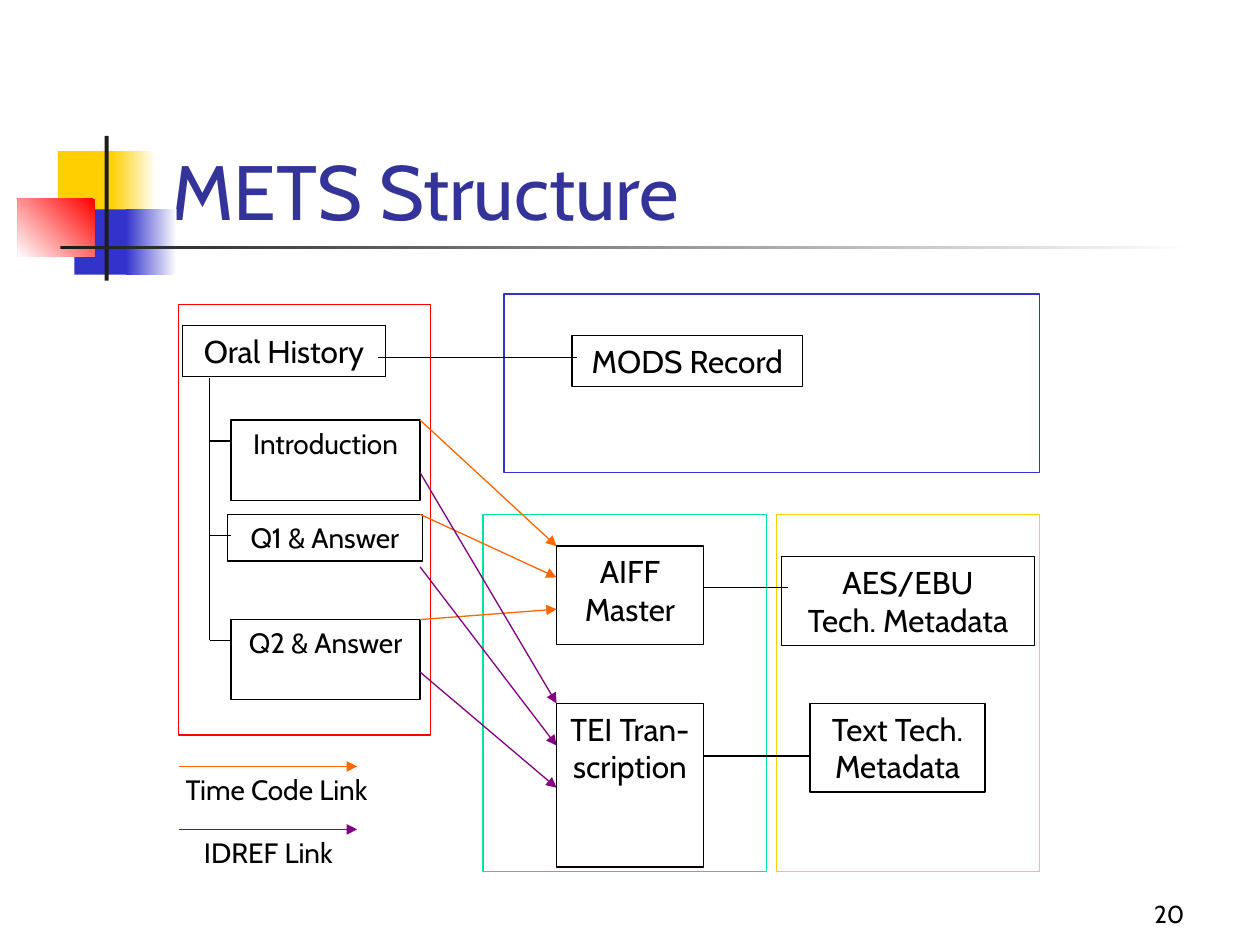
from lxml.etree import SubElement
from pptx import Presentation
from pptx.dml.color import RGBColor
from pptx.enum.shapes import MSO_CONNECTOR as Connector, MSO_SHAPE as Preset
from pptx.enum.text import MSO_ANCHOR as Anchor, MSO_AUTO_SIZE as AutoSize, PP_ALIGN as Align
from pptx.oxml.ns import qn
from pptx.util import Cm, Pt

COLORS = {
    "title": "333399", "ink": "000000", "dark": "1C1C1C", "white": "FFFFFF",
    "red": "FF0000", "blue": "3333CC", "green": "00E4A8", "yellow": "FFCF01",
    "time code": "FF6600", "idref": "800080",
}


def rgb(name):
    return RGBColor.from_string(COLORS[name])


class StructureSlide:
    font_name = "Cabin"
    line_width = Pt(0.75)

    def __init__(self, presentation):
        self.slide = presentation.slides.add_slide(presentation.slide_layouts[5])
        self.shapes = self.slide.shapes

    def set_text(self, frame, lines, size, color="ink", align=Align.CENTER,
                 anchor=Anchor.TOP, wrap=True):
        frame.auto_size = AutoSize.NONE
        frame.word_wrap = wrap
        frame.vertical_anchor = anchor
        frame.text = "\n".join(lines)
        for paragraph in frame.paragraphs:
            paragraph.alignment = align
            paragraph.font.name = self.font_name
            paragraph.font.size = Pt(size)
            paragraph.font.color.rgb = rgb(color)

    def title(self, text, place):
        title = self.shapes.title
        title.left, title.top, title.width, title.height = map(Cm, place)
        self.set_text(title.text_frame, [text], 44, "title", Align.LEFT, Anchor.BOTTOM)

    def rectangle(self, place):
        shape = self.shapes.add_shape(Preset.RECTANGLE, *map(Cm, place))
        shape.shadow.inherit = False
        return shape

    def block(self, color, place):
        shape = self.rectangle(place)
        shape.line.fill.background()
        shape.fill.solid()
        shape.fill.fore_color.rgb = rgb(color)

    def fade(self, color, place, angle=0):
        """Rectangle running from a colour to white; angle is counter-clockwise."""
        shape = self.rectangle(place)
        shape.line.fill.background()
        shape.fill.gradient()
        shape.fill.gradient_angle = angle
        for stop, name in zip(shape.fill.gradient_stops, (color, "white")):
            stop.color.rgb = rgb(name)

    def frame(self, color, place):
        shape = self.rectangle(place)
        shape.fill.background()
        shape.line.color.rgb = rgb(color)
        shape.line.width = self.line_width
        return shape

    def box(self, lines, size, place, wrap=False):
        self.set_text(self.frame("ink", place).text_frame, lines, size, wrap=wrap)

    def label(self, text, size, place, **style):
        text_box = self.shapes.add_textbox(*map(Cm, place))
        self.set_text(text_box.text_frame, [text], size, **style)

    def line(self, start, end, color="ink", arrow=False):
        connector = self.shapes.add_connector(
            Connector.STRAIGHT, *map(Cm, (*start, *end)))
        connector.line.color.rgb = rgb(color)
        connector.line.width = self.line_width
        properties = connector.element.spPr
        if arrow:
            SubElement(properties.find(qn("a:ln")), qn("a:tailEnd"), type="triangle")
        SubElement(properties, qn("a:effectLst"))


def main():
    presentation = Presentation()
    presentation.slide_width, presentation.slide_height = Cm(25.4), Cm(19.05)
    slide = StructureSlide(presentation)

    # Ornament beside and under the title
    slide.block("yellow", (1.17, 3.05, 1.22, 1.32))
    slide.fade("yellow", (2.24, 3.05, 0.91, 1.32))
    slide.block("blue", (1.5, 4.22, 1.17, 1.32))
    slide.fade("blue", (2.54, 4.22, 1.02, 1.32))
    slide.fade("red", (0.36, 4.01, 1.55, 1.17), angle=225)
    slide.block("dark", (2.11, 2.74, 0.08, 2.92))
    slide.fade("dark", (1.22, 4.95, 22.86, 0.08))
    slide.title("METS Structure", (3.2, 1.7, 21.64, 3.18))

    # Section frames
    slide.frame("red", (3.6, 6.14, 5.08, 8.68))
    slide.frame("blue", (10.16, 5.93, 10.8, 3.6))
    slide.frame("green", (9.74, 10.37, 5.72, 7.2))
    slide.frame("yellow", (15.66, 10.37, 5.29, 7.2))

    # Structure tree
    slide.box(["Oral History"], 18, (3.68, 6.56, 4.09, 1.03))
    slide.box(["Introduction"], 16, (4.66, 8.47, 3.81, 1.62))
    slide.box(["Q1 & Answer"], 16, (4.58, 10.37, 3.94, 0.94))
    slide.box(["Q2 & Answer"], 16, (4.66, 12.49, 3.81, 1.62))
    trunk, branches = 4.23, (8.89, 10.8, 12.91)
    slide.line((trunk, branches[-1]), (trunk, 7.62))
    for y in branches:
        slide.line((trunk, y), (4.66, y))

    # Files and their metadata
    slide.box(["AIFF Master"], 18, (11.22, 11.01, 2.96, 1.98), wrap=True)
    slide.box(["TEI Tran-scription"], 18, (11.22, 14.18, 2.96, 3.3), wrap=True)
    slide.box(["AES/EBU", "Tech. Metadata"], 18, (15.75, 11.22, 5.11, 1.79))
    slide.box(["Text Tech.", "Metadata"], 18, (16.33, 14.18, 3.53, 1.79))
    slide.box(["MODS Record"], 18, (11.53, 6.77, 4.65, 1.03))
    for left, right, y in ((14.18, 15.88, 11.85), (14.18, 16.3, 15.24),
                           (7.62, 11.64, 7.2)):
        slide.line((left, y), (right, y))

    # Links from the tree to the files: start and end heights
    links = {
        "time code": ((8.47, 11.01), (10.37, 11.64), (12.49, 12.28)),
        "idref": ((9.53, 14.18), (11.43, 15.03), (13.55, 15.88)),
    }
    for color, heights in links.items():
        for start, end in heights:
            slide.line((8.47, start), (11.22, end), color, arrow=True)

    # Legend
    for text, color, left, y, width in (
            ("Time Code Link", "time code", 3.3, 15.45, 4.55),
            ("IDREF Link", "idref", 3.76, 16.72, 3.3)):
        slide.line((3.6, y), (7.2, y), color, arrow=True)
        slide.label(text, 16, (left, y, width, 0.94), wrap=False)

    slide.label("20", 14, (18.84, 17.57, 5.29, 1.27),
                align=Align.RIGHT, anchor=Anchor.BOTTOM)
    presentation.save("out.pptx")


if __name__ == "__main__":
    main()
